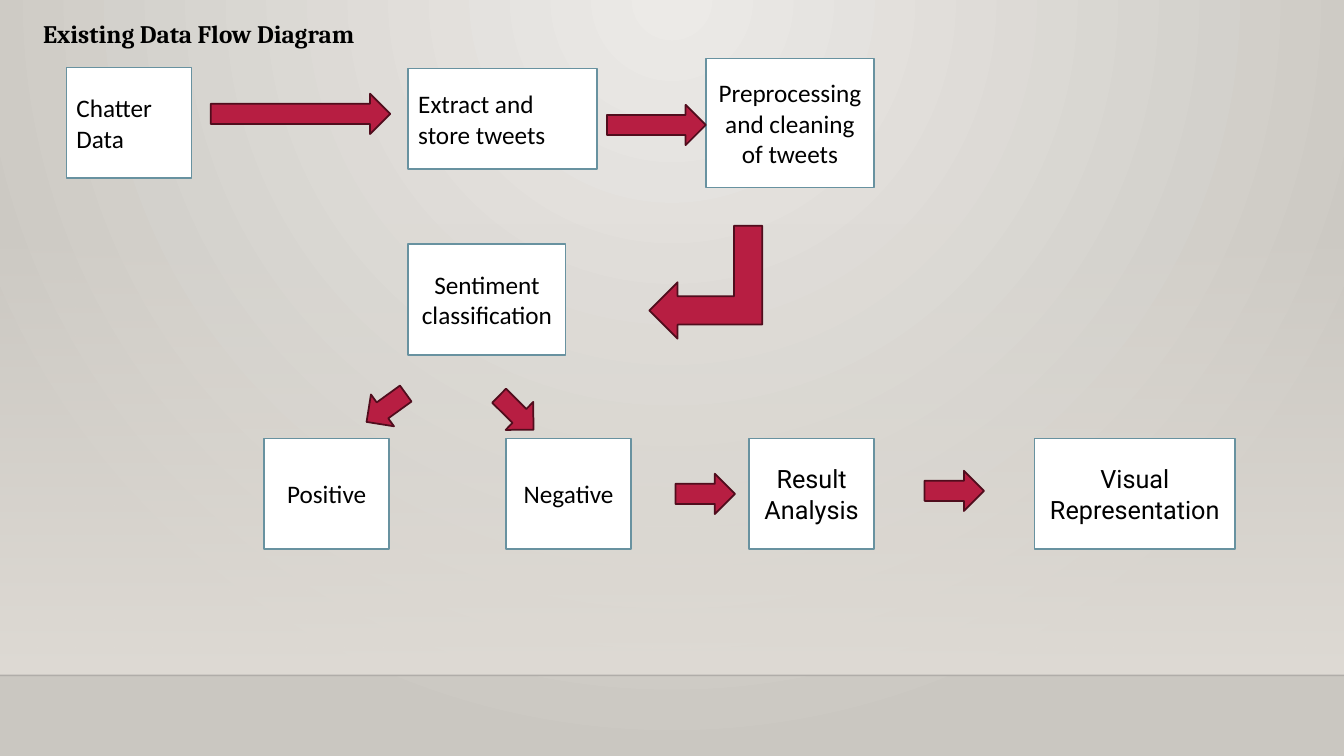
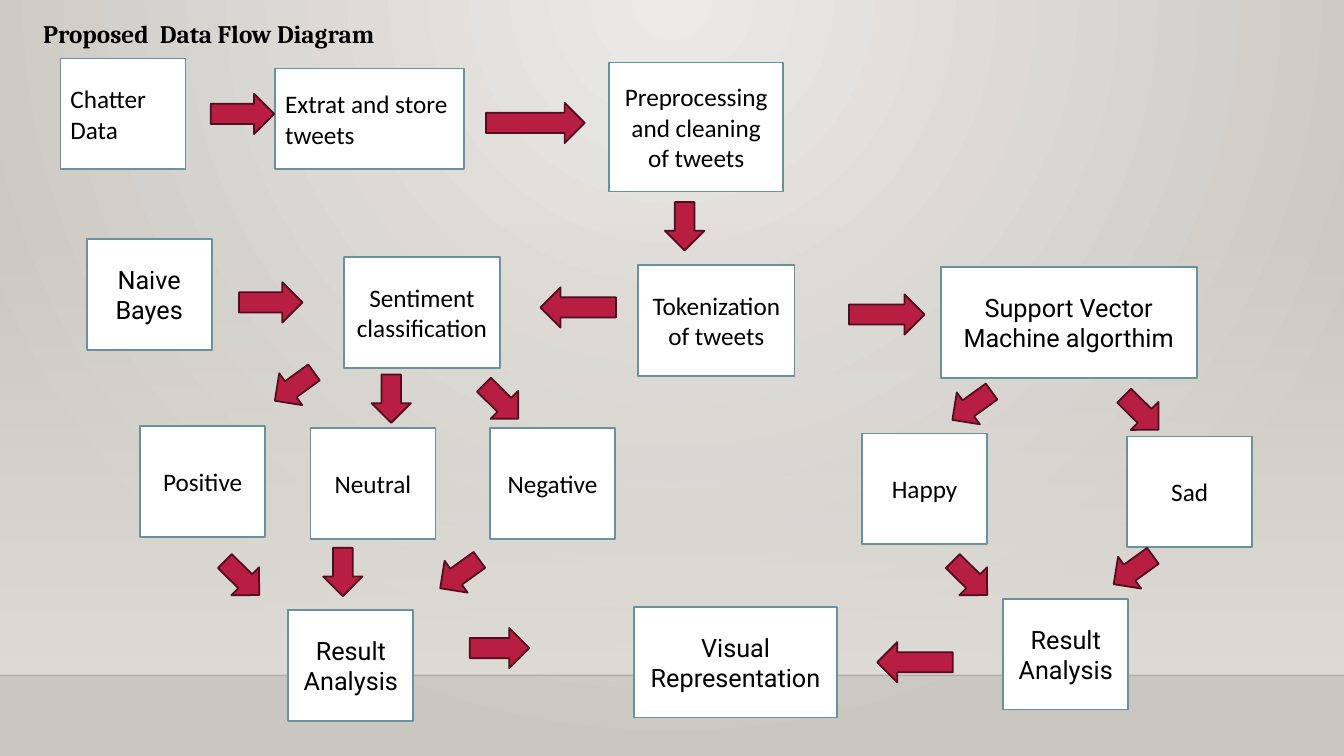
import pptx
import pptx.dml.color
import pptx.enum.shapes
import pptx.enum.text
import pptx.oxml
import pptx.oxml.ns
import pptx.util
from lxml import etree
from pptx.util import Inches

COLORS = {
    "glow": "ECEAE7", "edge": "CAC7C1", "wall": "DFDBD5", "floor_line": "000001",
    "box": "FFFFFF", "box_line": "6892A0",
    "arrow": "B71E42", "arrow_line": "500D1D", "text": "000000",
}
RIGHT_ARROW = pptx.enum.shapes.MSO_SHAPE.RIGHT_ARROW
BENT_ARROW = pptx.enum.shapes.MSO_SHAPE.BENT_UP_ARROW
RECTANGLE = pptx.enum.shapes.MSO_SHAPE.RECTANGLE
LEFT = pptx.enum.text.PP_ALIGN.LEFT
CENTER = pptx.enum.text.PP_ALIGN.CENTER
BODY, HEADING, LATIN = "Calibri", "Cambria", "Roboto"
SMALL_WIDTH, BOX_HEIGHT = 1.24, 1.1
DOWN, BACK, DOWN_LEFT, DOWN_RIGHT = 90, 180, 144.1, 44.7

# Boxes: text, left, top, width, height, font, alignment
# Straight arrows: left, top, width, rotation
# Short arrows: left, top, rotation
diagrams = [
    {
        "title": "Existing Data Flow Diagram",
        "boxes": [
            ("Chatter\nData", 0.66, 0.67, SMALL_WIDTH, BOX_HEIGHT, BODY, LEFT),
            ("Extract and store tweets", 4.05, 0.68, 1.87, 1, BODY, LEFT),
            ("Preprocessing and cleaning of tweets", 7, 0.58, 1.67, 1.28, BODY, CENTER),
            ("Sentiment classification", 4.05, 2.42, 1.56, BOX_HEIGHT, BODY, CENTER),
            ("Positive", 2.62, 4.35, SMALL_WIDTH, BOX_HEIGHT, BODY, CENTER),
            ("Negative", 5.02, 4.35, SMALL_WIDTH, BOX_HEIGHT, BODY, CENTER),
            ("Result Analysis", 7.43, 4.35, SMALL_WIDTH, BOX_HEIGHT, LATIN, CENTER),
            ("Visual Representation", 10.26, 4.35, 1.99, BOX_HEIGHT, LATIN, CENTER),
        ],
        "straight_arrows": [
            (2.09, 0.93, 1.78, 0), (6.02, 1.04, 0.98, 0),
            (6.7, 4.7, 0.59, 0), (9.17, 4.67, 0.59, 0),
        ],
        "short_arrows": [(3.59, 3.85, DOWN_LEFT), (4.88, 3.9, DOWN_RIGHT)],
        "bent_arrows": [(6.44, 2.24, 1.12)],
    },
    {
        "title": "Proposed  Data Flow Diagram",
        "boxes": [
            ("Chatter\nData", 0.6, 0.58, SMALL_WIDTH, BOX_HEIGHT, BODY, LEFT),
            ("Extrat and store tweets", 2.73, 0.68, 1.87, 1, BODY, LEFT),
            ("Preprocessing and cleaning of tweets", 6.04, 0.62, 1.73, 1.28, BODY, CENTER),
            ("Naive Bayes", 0.86, 2.37, SMALL_WIDTH, BOX_HEIGHT, LATIN, CENTER),
            ("Sentiment classification", 3.41, 2.55, 1.55, BOX_HEIGHT, BODY, CENTER),
            ("Tokenization of tweets", 6.33, 2.63, 1.55, BOX_HEIGHT, BODY, CENTER),
            ("Support Vector Machine algorthim", 9.33, 2.65, 2.54, BOX_HEIGHT, LATIN, CENTER),
            ("Positive", 1.39, 4.23, SMALL_WIDTH, BOX_HEIGHT, BODY, CENTER),
            ("Neutral", 3.08, 4.25, SMALL_WIDTH, BOX_HEIGHT, BODY, CENTER),
            ("Negative", 4.86, 4.25, SMALL_WIDTH, BOX_HEIGHT, BODY, CENTER),
            ("Happy", 8.55, 4.3, SMALL_WIDTH, BOX_HEIGHT, BODY, CENTER),
            ("Sad", 11.18, 4.33, SMALL_WIDTH, BOX_HEIGHT, BODY, CENTER),
            ("Result Analysis", 2.86, 6.05, SMALL_WIDTH, BOX_HEIGHT, LATIN, CENTER),
            ("Visual Representation", 6.29, 6.02, 2.01, BOX_HEIGHT, LATIN, CENTER),
            ("Result Analysis", 9.95, 5.94, SMALL_WIDTH, BOX_HEIGHT, LATIN, CENTER),
        ],
        "straight_arrows": [
            (2.09, 0.93, 0.63, 0), (4.82, 1.02, 0.98, 0),
            (2.37, 2.8, 0.63, 0), (5.36, 2.85, 0.75, BACK), (8.42, 2.92, 0.75, 0),
            (4.66, 6.23, 0.59, 0), (8.7, 6.37, 0.75, BACK),
        ],
        "short_arrows": [
            (6.55, 2.05, DOWN),
            (2.68, 3.64, DOWN_LEFT), (3.64, 3.76, DOWN), (4.73, 3.79, DOWN_RIGHT),
            (9.4, 3.83, DOWN_LEFT), (11.08, 3.9, DOWN_RIGHT),
            (2.16, 5.54, DOWN_RIGHT), (3.16, 5.48, DOWN), (4.32, 5.5, DOWN_LEFT),
            (9.38, 5.54, DOWN_RIGHT), (11, 5.46, DOWN_LEFT),
        ],
        "bent_arrows": [],
    },
]


def add_filled_shape(slide, preset, left, top, width, height, role):
    """Add a shape with the fill and outline colours of its role."""
    shape = slide.shapes.add_shape(
        preset, Inches(left), Inches(top), Inches(width), Inches(height))
    shape.shadow.inherit = False
    shape.fill.solid()
    shape.fill.fore_color.rgb = pptx.dml.color.RGBColor.from_string(COLORS[role])
    shape.line.color.rgb = pptx.dml.color.RGBColor.from_string(COLORS[role + "_line"])
    shape.line.width = pptx.util.Pt(1.25)
    return shape


def write_text(shape, text, font_name, alignment, bold=False):
    shape.text_frame.word_wrap = True
    shape.text_frame.text = text
    for paragraph in shape.text_frame.paragraphs:
        paragraph.alignment = alignment
        for run in paragraph.runs:
            run.font.name = font_name
            run.font.size = pptx.util.Pt(18)
            run.font.bold = bold
            run.font.color.rgb = pptx.dml.color.RGBColor.from_string(COLORS["text"])


presentation = pptx.Presentation()
presentation.slide_width = Inches(13.33)
presentation.slide_height = Inches(7.5)
blank_layout = presentation.slide_layouts[6]
slides = [presentation.slides.add_slide(blank_layout) for diagram in diagrams]

# Shared backdrop on the slide master
master = presentation.slide_master
background_fill = master.background.fill
background_fill.gradient()
for stop, name in zip(background_fill.gradient_stops, ("glow", "edge")):
    stop.color.rgb = pptx.dml.color.RGBColor.from_string(COLORS[name])
linear = master.element.xpath("p:cSld/p:bg//a:lin")[0]
radial = pptx.oxml.parse_xml(
    f'<a:path {pptx.oxml.ns.nsdecls("a")} path="circle">'
    '<a:fillToRect l="43000" t="0" r="43000" b="100000"/></a:path>')
linear.getparent().replace(linear, radial)

wall = slides[0].shapes.add_shape(
    RECTANGLE, 0, Inches(2.21), presentation.slide_width, Inches(4.49))
wall.shadow.inherit = False
wall.line.fill.background()
wall.fill.gradient()
wall.fill.gradient_angle = 270
for stop in wall.fill.gradient_stops:
    stop.color.rgb = pptx.dml.color.RGBColor.from_string(COLORS["wall"])

floor_line = slides[0].shapes.add_connector(
    pptx.enum.shapes.MSO_CONNECTOR.STRAIGHT,
    0, Inches(6.7), presentation.slide_width, Inches(6.7))
floor_line.line.color.rgb = pptx.dml.color.RGBColor.from_string(COLORS["floor_line"])
floor_line.line.width = pptx.util.Pt(1)
etree.SubElement(floor_line.element.spPr, pptx.oxml.ns.qn("a:effectLst"))

for shape, opacity in ((wall, 0), (floor_line, 20)):
    color = shape.element.spPr.xpath(".//a:srgbClr")[0]
    etree.SubElement(color, pptx.oxml.ns.qn("a:alpha")).set("val", str(opacity * 1000))
for shape_id, shape in enumerate((wall, floor_line), start=101):
    shape.element.xpath(".//p:cNvPr")[0].set("id", str(shape_id))
    master.element.cSld.spTree.append(shape.element)

for slide, diagram in zip(slides, diagrams):
    title = slide.shapes.add_textbox(Inches(0.33), Inches(0.13), Inches(6.67), Inches(0.4))
    write_text(title, diagram["title"], HEADING, LEFT, bold=True)

    for text, left, top, width, height, font_name, alignment in diagram["boxes"]:
        box = add_filled_shape(slide, RECTANGLE, left, top, width, height, "box")
        box.text_frame.vertical_anchor = pptx.enum.text.MSO_ANCHOR.MIDDLE
        write_text(box, text, font_name, alignment)

    for left, top, width, rotation in diagram["straight_arrows"]:
        arrow = add_filled_shape(slide, RIGHT_ARROW, left, top, width, 0.4, "arrow")
        arrow.rotation = rotation

    for left, top, rotation in diagram["short_arrows"]:
        arrow = add_filled_shape(slide, RIGHT_ARROW, left, top, 0.48, 0.39, "arrow")
        arrow.rotation = rotation

    for left, top, size in diagram["bent_arrows"]:
        arrow = add_filled_shape(slide, BENT_ARROW, left, top, size, size, "arrow")
        arrow.rotation = 90
        arrow.element.spPr.xfrm.set("flipV", "1")

presentation.save("out.pptx")
